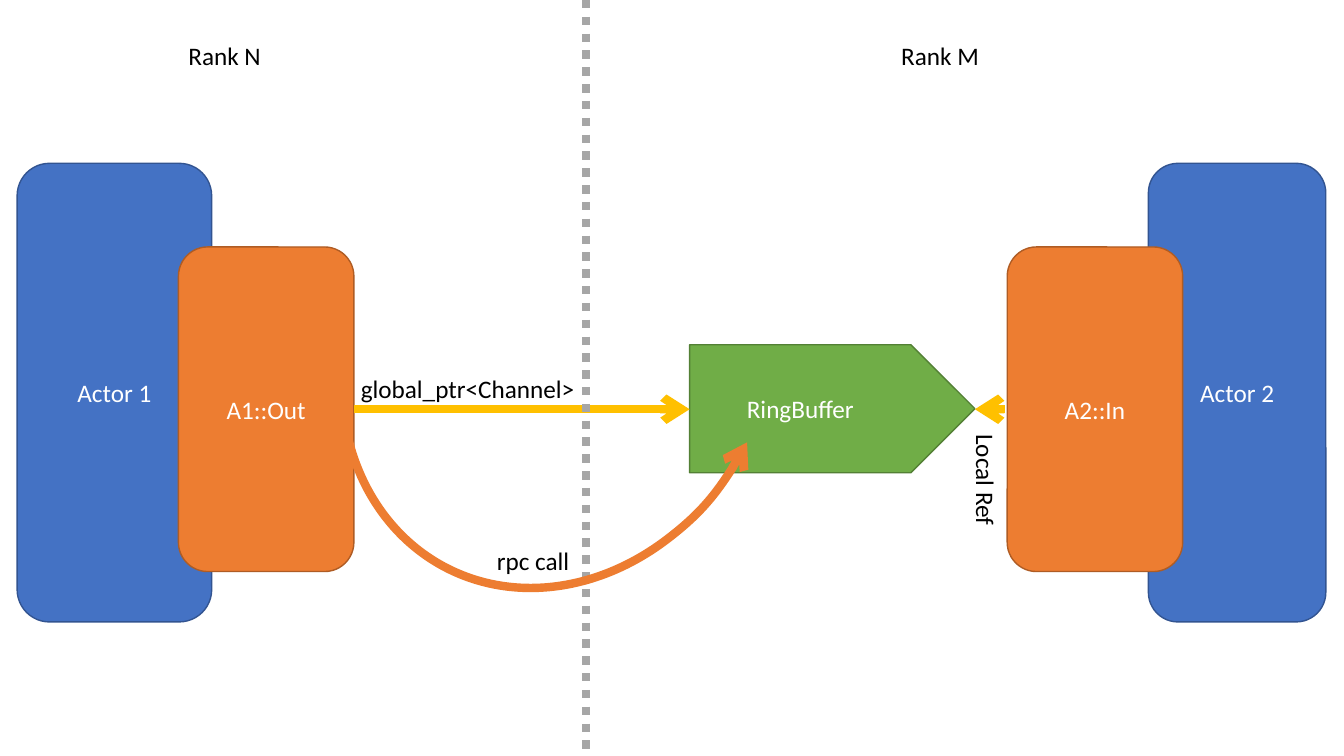
from lxml.etree import SubElement
from pptx import Presentation
from pptx.dml.color import RGBColor
from pptx.enum.dml import MSO_LINE
from pptx.enum.shapes import MSO_CONNECTOR, MSO_SHAPE
from pptx.enum.text import MSO_ANCHOR, MSO_AUTO_SIZE, PP_ALIGN
from pptx.oxml.ns import qn
from pptx.util import Inches, Pt

BLUE, DARK_BLUE = "4472C4", "325491"
ORANGE, DARK_ORANGE = "ED7D31", "AF5C24"
GREEN, DARK_GREEN = "70AD47", "538035"
GOLD, GRAY, WHITE, BLACK = "FFC000", "A6A6A6", "FFFFFF", "000000"
THIN, THICK = 1, 6
CHANNEL_Y = 4.06


def color(hex_value):
    """Turn a hex string into a colour."""
    return RGBColor.from_string(hex_value)


def set_format(target, values):
    """Set every attribute named in a dict of format values."""
    for name, value in values.items():
        setattr(target, name, value)


class Diagram:
    """Hold the text style and the current slide, and draw elements on it."""

    font = {"name": "Calibri", "size": Pt(18)}

    def __init__(self, slide):
        """Keep the slide to draw on."""
        self.slide = slide

    def add_text(self, shape, text, text_color, align, **frame_format):
        """Put one formatted line of text in a shape."""
        frame = shape.text_frame
        set_format(frame, frame_format)
        paragraph = frame.paragraphs[0]
        paragraph.alignment = align
        run = paragraph.add_run()
        run.text = text
        set_format(run.font, self.font)
        run.font.color.rgb = color(text_color)

    def stroke(self, shape, line_color, width, arrow_end=None):
        """Style a line, with an optional arrowhead at headEnd or tailEnd."""
        shape.line.color.rgb = color(line_color)
        shape.line.width = Pt(width)
        if arrow_end:
            outline = shape._element.spPr.find(qn("a:ln"))
            SubElement(outline, qn(f"a:{arrow_end}"), type="arrow")

    def preset(self, kind, box, adjustments=()):
        """Add a preset shape without a shadow."""
        shape = self.slide.shapes.add_shape(kind, *map(Inches, box))
        shape.shadow.inherit = False
        for index, value in enumerate(adjustments):
            shape.adjustments[index] = value
        return shape

    def block(self, text, box, fill, outline, kind=MSO_SHAPE.ROUNDED_RECTANGLE,
              adjustments=()):
        """Add a filled shape with centred white text."""
        shape = self.preset(kind, box, adjustments)
        shape.fill.solid()
        shape.fill.fore_color.rgb = color(fill)
        self.stroke(shape, outline, THIN)
        self.add_text(shape, text, WHITE, PP_ALIGN.CENTER,
                      vertical_anchor=MSO_ANCHOR.MIDDLE, word_wrap=True)

    def label(self, text, box, rotation=0, wrap=True):
        """Add a text box with black text."""
        shape = self.slide.shapes.add_textbox(*map(Inches, box))
        shape.rotation = rotation
        self.add_text(shape, text, BLACK, PP_ALIGN.LEFT, word_wrap=wrap,
                      auto_size=MSO_AUTO_SIZE.SHAPE_TO_FIT_TEXT)

    def connector(self, start, end, line_color, arrow_end=None, dash=None):
        """Add a thick straight line between two points."""
        line = self.slide.shapes.add_connector(
            MSO_CONNECTOR.STRAIGHT, *map(Inches, start + end))
        self.stroke(line, line_color, THICK, arrow_end)
        if dash:
            line.line.dash_style = dash
        SubElement(line._element.spPr, qn("a:effectLst"))

    def arc(self, box, rotation, angles, line_color):
        """Add a thick open arc with an arrowhead at its start."""
        shape = self.preset(MSO_SHAPE.ARC, box, angles)
        shape.rotation = rotation
        shape.fill.background()
        self.stroke(shape, line_color, THICK, "headEnd")


presentation = Presentation()
presentation.slide_width = Inches(13.33)
presentation.slide_height = Inches(7.5)
diagram = Diagram(presentation.slides.add_slide(presentation.slide_layouts[6]))

for actor, left, width in (("Actor 1", 0.17, 1.93), ("Actor 2", 11.39, 1.76)):
    diagram.block(actor, (left, 1.62, width, 4.55), BLUE, DARK_BLUE)
for port, left in (("A1::Out", 1.77), ("A2::In", 9.99)):
    diagram.block(port, (left, 2.45, 1.74, 3.22), ORANGE, DARK_ORANGE)
diagram.block("RingBuffer", (6.84, 3.42, 2.83, 1.27), GREEN, DARK_GREEN,
              MSO_SHAPE.RIGHT_ARROW, (1, 0.5))

for start, end in ((3.51, 6.84), (9.97, 9.67)):
    diagram.connector((start, CHANNEL_Y), (end, CHANNEL_Y), GOLD, "tailEnd")
diagram.label("global_ptr<Channel>", (3.48, 3.65, 2.35, 0.4))
diagram.label("Local Ref", (9.2, 4.58, 1.15, 0.41), rotation=90)

diagram.connector((5.81, 0), (5.81, 7.5), GRAY, dash=MSO_LINE.ROUND_DOT)
for rank, left in (("Rank N", 1.77), ("Rank M", 8.84)):
    diagram.label(rank, (left, 0.35, 2.29, 0.4))

diagram.arc((3.09, 1.36, 4.92, 4.17), 116.9, (162, 31.97), ORANGE)
diagram.label("rpc call", (4.83, 5.36, 0.93, 0.4), wrap=False)

presentation.save("out.pptx")
